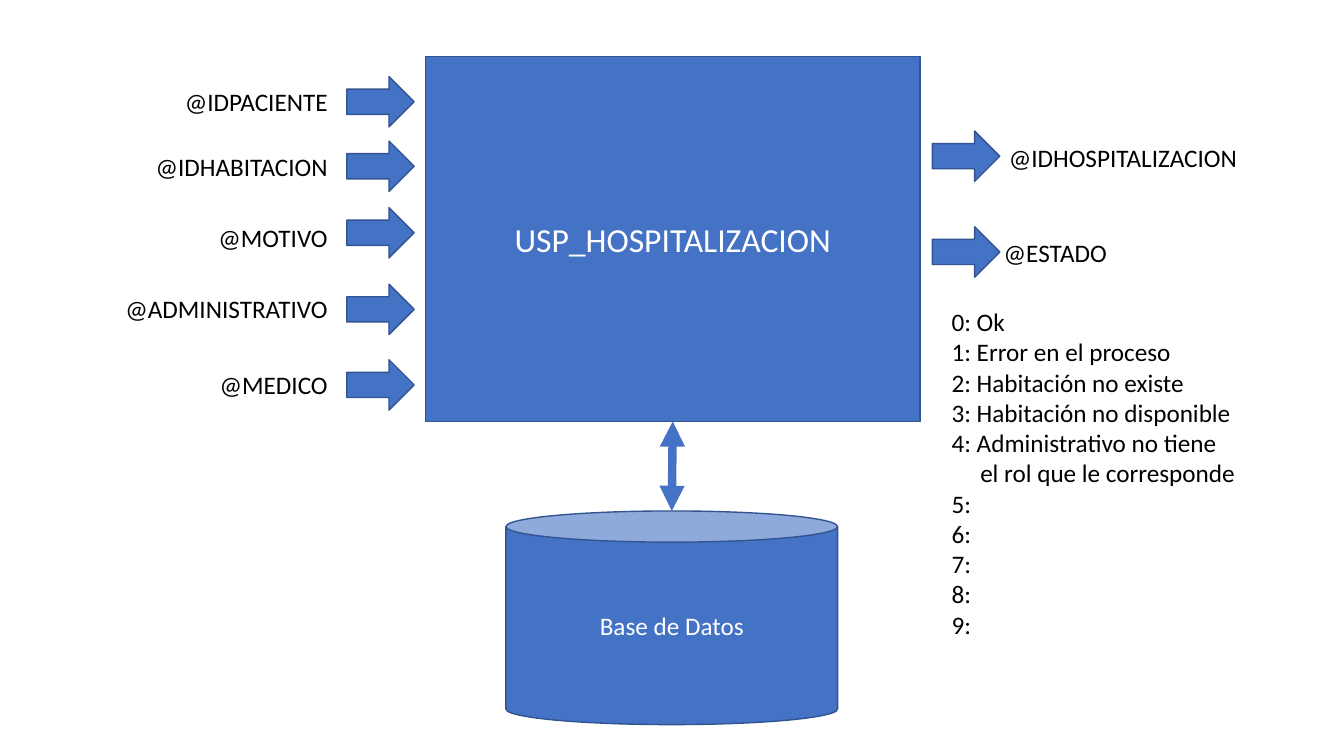
from dataclasses import dataclass

from lxml.etree import SubElement
from pptx import Presentation
from pptx.dml.color import RGBColor
from pptx.enum.shapes import MSO_CONNECTOR as Connector, MSO_SHAPE as Shape
from pptx.enum.text import MSO_ANCHOR as Anchor, MSO_AUTO_SIZE as AutoSize, PP_ALIGN as Align
from pptx.oxml.ns import qn
from pptx.util import Pt


# Theme
@dataclass(frozen=True)
class Theme:
    font: str = "Calibri"
    heading: float = 24
    body: float = 18
    blue: RGBColor = RGBColor(0x44, 0x72, 0xC4)
    outline: RGBColor = RGBColor(0x32, 0x54, 0x91)
    white: RGBColor = RGBColor(255, 255, 255)
    black: RGBColor = RGBColor(0, 0, 0)


theme = Theme()

# Content
procedure_name = "USP_HOSPITALIZACION"
database_name = "Base de Datos"
inputs = [  # name, arrow top, label top
    ("@IDPACIENTE", 54.7, 58.3),
    ("@IDHABITACION", 100.8, 104.4),
    ("@MOTIVO", 148.3, 155.5),
    ("@ADMINISTRATIVO", 203, 206),
    ("@MEDICO", 257, 260.6),
]
outputs = [  # name, arrow top, label top, label left
    ("@IDHOSPITALIZACION", 93.6, 97.9, 713.5),
    ("@ESTADO", 162, 166.3, 709.9),
]
states = [  # text, left margin
    ("0: Ok", 0),
    ("1: Error en el proceso", 0),
    ("2: Habitación no existe", 0),
    ("3: Habitación no disponible", 0),
    ("4: Administrativo no tiene", 0),
    ("el rol que le corresponde", 20.5),
    *((f"{code}:", 0) for code in range(5, 10)),
]

# Layout, in points: left, top, width, height
procedure_area = (303.8, 40.3, 353.5, 260.7)
database_area = (361.4, 365, 236.9, 152.6)
states_area = (672.5, 215.3, 236.9, 247)
arrow_size = (48.2, 36)
input_arrow_left, output_arrow_left = 247.7, 666
input_label_left, input_label_width = 74.2, 167
output_label_width, label_height = 196, 28.8


def place(part, area):
    for side, length in zip(("left", "top", "width", "height"), area):
        setattr(part, side, Pt(length))


def paint(part):
    part.fill.solid()
    part.fill.fore_color.rgb = theme.blue
    part.line.color.rgb = theme.outline
    part.line.width = Pt(1)
    part.shadow.inherit = False


def write(part, lines, size, color, align, anchor=Anchor.TOP):
    frame = part.text_frame
    frame_format = {"word_wrap": True, "auto_size": AutoSize.NONE,
                    "vertical_anchor": anchor}
    for key, value in frame_format.items():
        setattr(frame, key, value)
    frame.text = "\n".join(lines)
    paragraph_format = {"alignment": align, "space_before": Pt(0),
                        "space_after": Pt(0), "line_spacing": 1.0}
    font_format = {"name": theme.font, "size": Pt(size)}
    for paragraph in frame.paragraphs:
        for key, value in paragraph_format.items():
            setattr(paragraph, key, value)
        for run in paragraph.runs:
            for key, value in font_format.items():
                setattr(run.font, key, value)
            run.font.color.rgb = color


def add_arrow(left, top):
    paint(slide.shapes.add_shape(Shape.RIGHT_ARROW, Pt(left), Pt(top), *map(Pt, arrow_size)))


def add_label(name, left, top, width, align):
    label = slide.shapes.add_textbox(Pt(left), Pt(top), Pt(width), Pt(label_height))
    write(label, [name], theme.body, theme.black, align)


# Slide
deck = Presentation()
deck.slide_width, deck.slide_height = Pt(960), Pt(540)
slide = deck.slides.add_slide(deck.slide_layouts[1])

# Procedure box
procedure = slide.shapes.title
place(procedure, procedure_area)
paint(procedure)
write(procedure, [procedure_name], theme.heading, theme.white, Align.CENTER, Anchor.MIDDLE)

# Parameters
for name, arrow_top, label_top in inputs:
    add_label(name, input_label_left, label_top, input_label_width, Align.RIGHT)
    add_arrow(input_arrow_left, arrow_top)
for name, arrow_top, label_top, label_left in outputs:
    add_arrow(output_arrow_left, arrow_top)
    add_label(name, label_left, label_top, output_label_width, Align.LEFT)

# State codes
state_list = slide.placeholders[1]
place(state_list, states_area)
write(state_list, [text for text, _ in states], theme.body, theme.black, Align.LEFT)
for paragraph, (_, margin) in zip(state_list.text_frame.paragraphs, states):
    properties = paragraph._p.get_or_add_pPr()
    properties.set("marL", str(Pt(margin)))
    properties.set("indent", "0")
    SubElement(properties, qn("a:buNone"))

# Database
database = slide.shapes.add_shape(Shape.CAN, *map(Pt, database_area))
database.adjustments[0] = 0.146
paint(database)
write(database, [database_name], theme.body, theme.white, Align.CENTER, Anchor.MIDDLE)

# Link between procedure and database
link = slide.shapes.add_connector(
    Connector.STRAIGHT, 0, 0, database.left + database.width // 2, database.top)
link.begin_connect(procedure, 2)
link.line.color.rgb = theme.blue
link.line.width = Pt(6)
line_properties = link.line._get_or_add_ln()
for end in ("a:headEnd", "a:tailEnd"):
    SubElement(line_properties, qn(end), type="triangle")
SubElement(link._element.spPr, qn("a:effectLst"))

deck.save("out.pptx")
